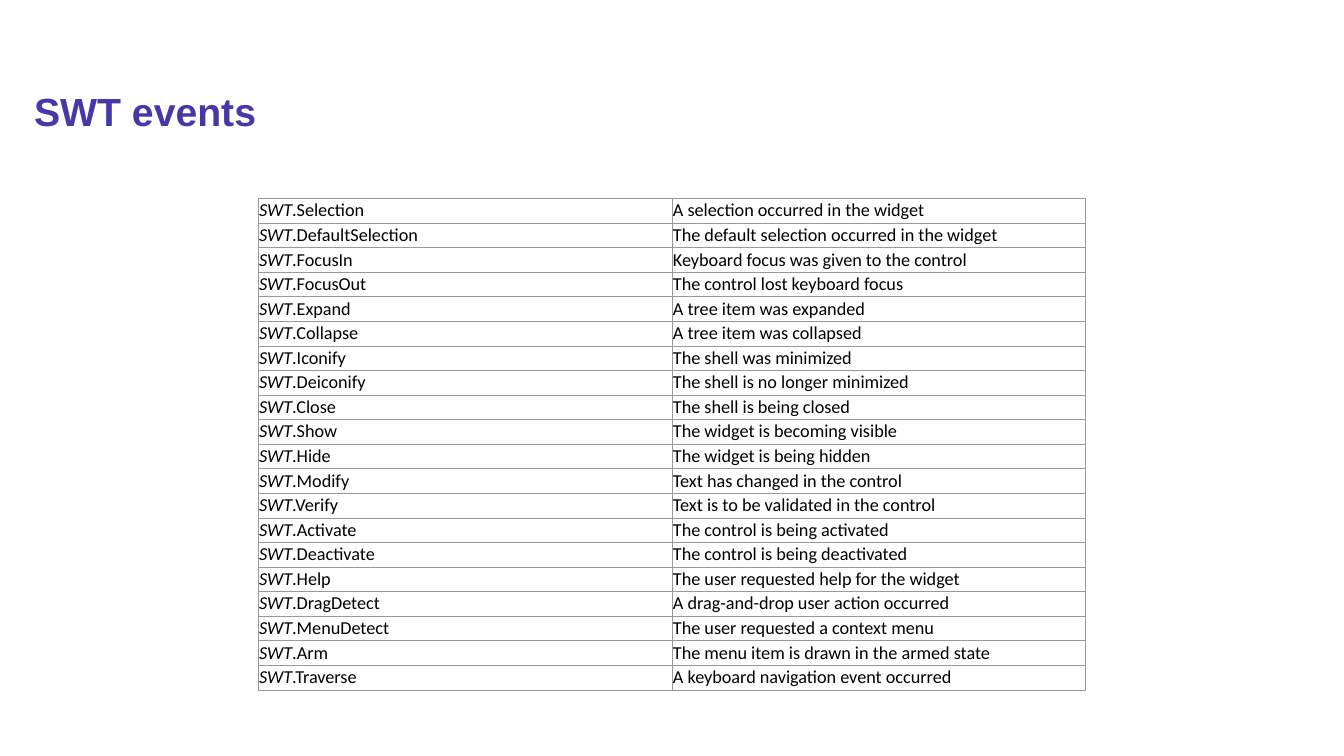
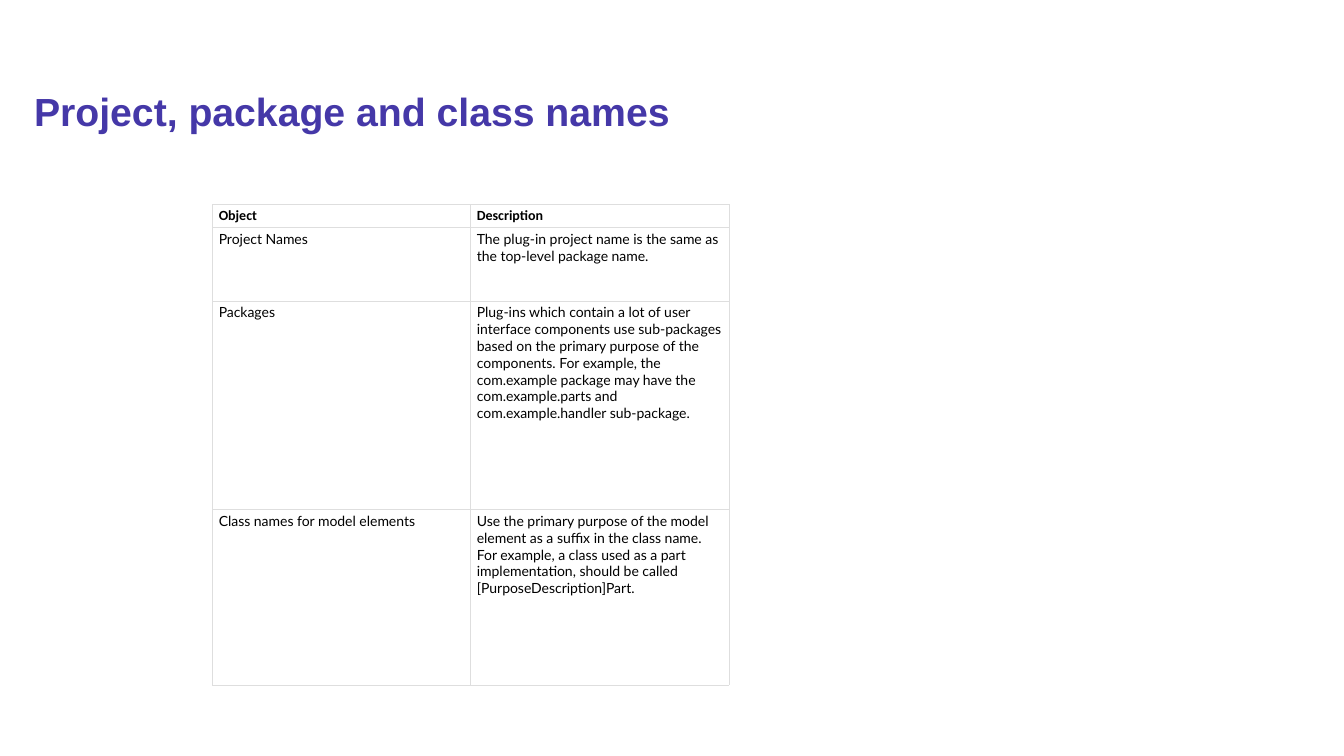
from lxml.etree import SubElement
from pptx import Presentation
from pptx.dml.color import RGBColor
from pptx.enum.text import MSO_ANCHOR
from pptx.oxml.ns import qn
from pptx.util import Inches, Pt

# Shared look
INDIGO = RGBColor(0x45, 0x38, 0xA8)
BLACK = RGBColor(0x00, 0x00, 0x00)
WHITE = RGBColor(0xFF, 0xFF, 0xFF)
GREY = RGBColor(0x99, 0x99, 0x99)
LIGHT_GREY = RGBColor(0xDE, 0xDE, 0xDE)
TITLE_FONT, TABLE_FONT, BODY_FONT = "Arial", "Calibri", "Lato"
TITLE_BOX = (0.24, 0.4, 11.5, 1.45)
BORDER_WIDTH = Pt(0.6)

EVENTS = [
    ("Selection", "A selection occurred in the widget"),
    ("DefaultSelection", "The default selection occurred in the widget"),
    ("FocusIn", "Keyboard focus was given to the control"),
    ("FocusOut", "The control lost keyboard focus"),
    ("Expand", "A tree item was expanded"),
    ("Collapse", "A tree item was collapsed"),
    ("Iconify", "The shell was minimized"),
    ("Deiconify", "The shell is no longer minimized"),
    ("Close", "The shell is being closed"),
    ("Show", "The widget is becoming visible"),
    ("Hide", "The widget is being hidden"),
    ("Modify", "Text has changed in the control"),
    ("Verify", "Text is to be validated in the control"),
    ("Activate", "The control is being activated"),
    ("Deactivate", "The control is being deactivated"),
    ("Help", "The user requested help for the widget"),
    ("DragDetect", "A drag-and-drop user action occurred"),
    ("MenuDetect", "The user requested a context menu"),
    ("Arm", "The menu item is drawn in the armed state"),
    ("Traverse", "A keyboard navigation event occurred"),
]

# Non-breaking spaces surround the code names
NAMES = [
    ("Object", "Description"),
    ("Project Names",
     "The plug-in project name is the same as the top-level package name."),
    ("Packages",
     "Plug-ins which contain a lot of user interface components use "
     "sub-packages based on the primary purpose of the components. "
     "For example, the com.example package may have "
     "the com.example.parts and com.example.handler sub-package."),
    ("Class names for model elements",
     "Use the primary purpose of the model element as a suffix in the class "
     "name. For example, a class used as a part implementation, should be "
     "called [PurposeDescription]Part."),
]


def set_font(font, name, size, color, bold=False):
    font.name, font.size, font.bold = name, Pt(size), bold
    font.color.rgb = color


def add_titled_slide(prs, title):
    s = prs.slides.add_slide(prs.slide_layouts[6])
    s.background.fill.solid()
    s.background.fill.fore_color.rgb = WHITE
    tf = s.shapes.add_textbox(*map(Inches, TITLE_BOX)).text_frame
    tf.word_wrap = True
    tf.vertical_anchor = MSO_ANCHOR.MIDDLE
    p = tf.paragraphs[0]
    p.text = title
    p.line_spacing = 0.9
    set_font(p.font, TITLE_FONT, 28, INDIGO, bold=True)
    return s


def style_cell(cell, border, inset_x, inset_y):
    cell.margin_left = cell.margin_right = Inches(inset_x)
    cell.margin_top = cell.margin_bottom = Inches(inset_y)
    # Borders come before the fill in the cell properties
    tc_pr = cell._tc.get_or_add_tcPr()
    for side in ("a:lnL", "a:lnR", "a:lnT", "a:lnB"):
        ln = SubElement(tc_pr, qn(side), w=str(BORDER_WIDTH))
        fill = SubElement(ln, qn("a:solidFill"))
        SubElement(fill, qn("a:srgbClr"), val=str(border))
    cell.fill.solid()
    cell.fill.fore_color.rgb = WHITE


def add_grid(s, box, row_heights, border, inset_x, inset_y):
    """Two equal columns in the box; row heights are shares of its height."""
    left, top, width, height = map(Inches, box)
    table = s.shapes.add_table(len(row_heights), 2, left, top,
                               width, height).table
    table.first_row = table.horz_banding = False
    for row, share in zip(table.rows, row_heights):
        row.height = int(height * share / sum(row_heights))
    for cell in table.iter_cells():
        style_cell(cell, border, inset_x, inset_y)
    return table


def build_events(prs):
    s = add_titled_slide(prs, "SWT events")
    table = add_grid(s, (2.56, 1.97, 8.21, 4.88), [1] * len(EVENTS),
                     GREY, 0.01, 0.01)
    for i, (event, meaning) in enumerate(EVENTS):
        name_p, meaning_p = (table.cell(i, j).text_frame.paragraphs[0]
                             for j in range(2))
        r = name_p.add_run()
        r.text = "SWT"
        r.font.italic = True
        name_p.add_run().text = "." + event
        meaning_p.text = meaning
        for p in (name_p, meaning_p):
            set_font(p.font, TABLE_FONT, 13, BLACK)


def build_names(prs):
    s = add_titled_slide(prs, "Project, package and class names")
    table = add_grid(s, (2.11, 2.03, 5.12, 4.76), [0.22, 0.73, 2.07, 1.74],
                     LIGHT_GREY, 0.06, 0.03)
    for i, texts in enumerate(NAMES):
        header = i == 0
        for j, text in enumerate(texts):
            p = table.cell(i, j).text_frame.paragraphs[0]
            p.text = text
            set_font(p.font, TABLE_FONT if header else BODY_FONT, 10, BLACK,
                     bold=header)


def main():
    prs = Presentation()
    prs.slide_width, prs.slide_height = Inches(13.33), Inches(7.5)
    build_events(prs)
    build_names(prs)
    prs.save("out.pptx")


if __name__ == "__main__":
    main()
